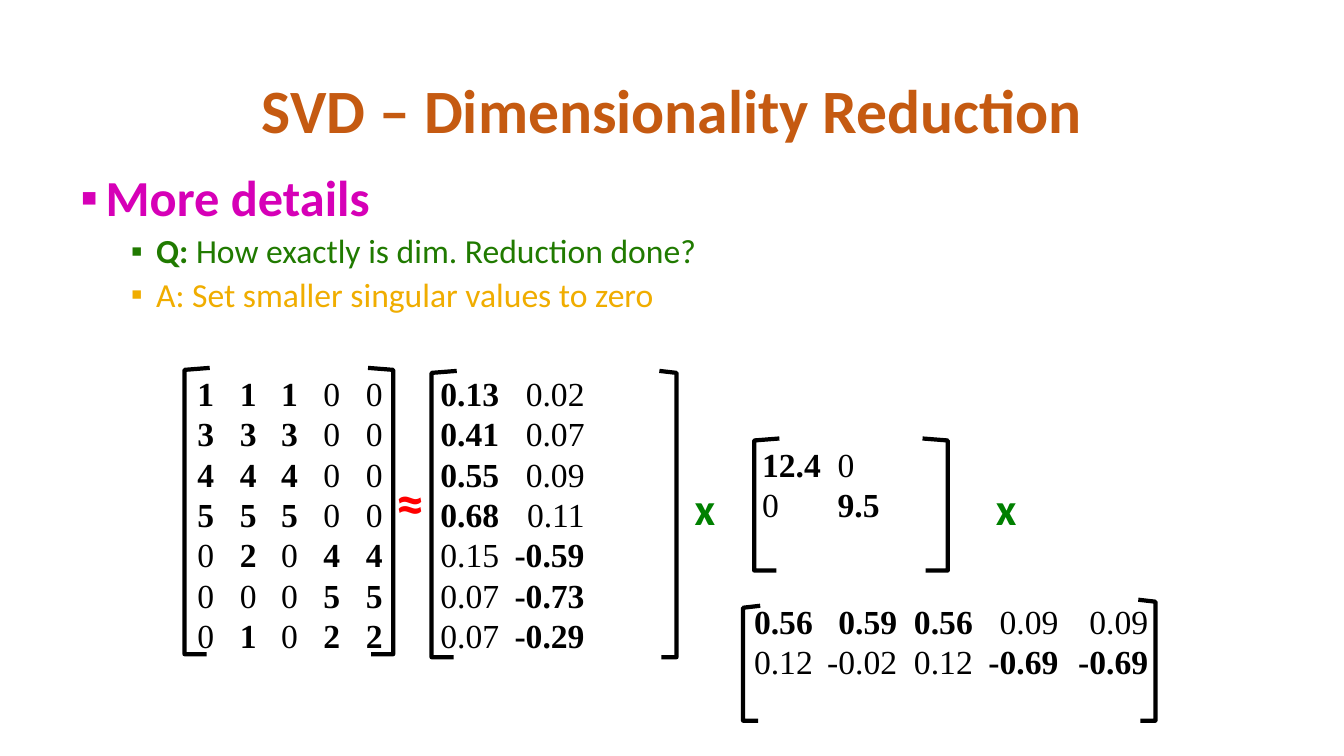
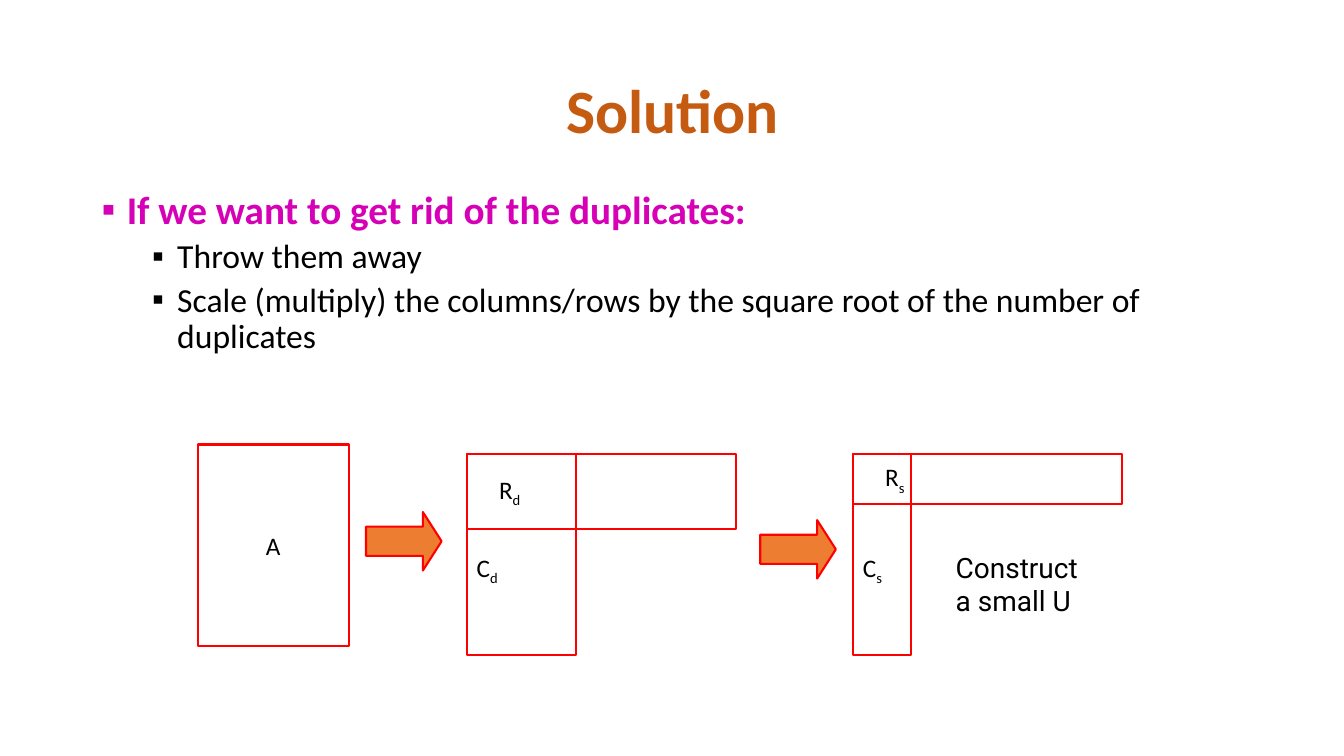
import lxml.etree
import pptx
import pptx.dml.color
import pptx.enum.shapes
import pptx.enum.text
import pptx.oxml.ns
import pptx.util

PX = 9144
COLORS = {
    "title": "C55A11",
    "heading": "D600B7",
    "question": "207A00",
    "answer": "F0AD00",
    "ink": "000000",
    "paper": "FFFFFF",
    "outline": "FF0000",
    "times": "008000",
    "arrow": "ED7D31",
}
SHAPES = pptx.enum.shapes.MSO_SHAPE
ALIGN = pptx.enum.text.PP_ALIGN
ANCHOR = pptx.enum.text.MSO_ANCHOR
SERIF = "Times New Roman"
TITLE = {"size": 44, "bold": True, "color": "title"}
DETAIL = {"size": 24}
NUMBER = {"size": 24, "name": SERIF}
LABEL = {"size": 18}
LEVELS = ({"indent": 25, "before": 10}, {"indent": 75, "before": 5})


def emu(*lengths):
    return [length * PX for length in lengths]


def rgb(key):
    return pptx.dml.color.RGBColor.from_string(COLORS[key])


def apply(target, values):
    for attribute, value in values.items():
        setattr(target, attribute, value)


def add_run(paragraph, text, style):
    run = paragraph.add_run()
    run.text = text
    values = {"name": "Calibri", "bold": False, "color": "ink", **style}
    run.font.color.rgb = rgb(values.pop("color"))
    values["size"] = pptx.util.Pt(values["size"])
    apply(run.font, values)
    return run


def next_paragraph(frame, index):
    return frame.add_paragraph() if index else frame.paragraphs[0]


def add_frame(slide, box, **values):
    frame = slide.shapes.add_textbox(*emu(*box)).text_frame
    apply(frame, {"word_wrap": True, **values})
    return frame


def add_text(slide, box, text, style, align=ALIGN.LEFT, **values):
    paragraph = add_frame(slide, box, **values).paragraphs[0]
    apply(paragraph, {"alignment": align})
    add_run(paragraph, text, style)
    return paragraph


def add_child(parent, tag, **attributes):
    child = lxml.etree.SubElement(parent, pptx.oxml.ns.qn(tag))
    for key, value in attributes.items():
        child.set(key, str(value))
    return child


def outline(shape, line, width, fill=None):
    shape.shadow.inherit = False
    shape.line.color.rgb = rgb(line)
    shape.line.width = pptx.util.Pt(width)
    if fill:
        shape.fill.solid()
        shape.fill.fore_color.rgb = rgb(fill)
    else:
        shape.fill.background()


def titled_slide(deck, title):
    slide = deck.slides.add_slide(deck.slide_layouts[6])
    heading = add_text(slide, (92, 40, 1150, 145), title, TITLE, ALIGN.CENTER,
                       vertical_anchor=ANCHOR.MIDDLE)
    heading.line_spacing = 0.9
    return slide


def bullet_list(slide, box, items):
    frame = add_frame(slide, box)
    for index, (level, runs) in enumerate(items):
        paragraph = next_paragraph(frame, index)
        apply(paragraph, {
            "level": level,
            "line_spacing": 0.9,
            "space_before": pptx.util.Pt(LEVELS[level]["before"]),
        })
        properties = paragraph._p.get_or_add_pPr()
        properties.set("marL", str(LEVELS[level]["indent"] * PX))
        properties.set("indent", str(-25 * PX))
        add_child(properties, "a:buFont", typeface=SERIF)
        add_child(properties, "a:buChar", char="▪")
        for text, style in runs:
            add_run(paragraph, text, style)


def bracket(slide, spine, top, bottom, arm):
    foot = round(arm * 7 / 8)
    builder = slide.shapes.build_freeform(spine + arm, top, scale=PX)
    builder.add_line_segments(
        [(spine, top + 2), (spine, bottom), (spine + foot, bottom)], close=False)
    outline(builder.convert_to_shape(), "ink", 3)


def matrix(slide, box, rows, stops, offset, arms=(25, 25), left_drop=0, align="r"):
    left, top, width, height = box
    bracket(slide, left, top + left_drop, top + height, arms[0])
    bracket(slide, left + width, top, top + height, -arms[1])
    frame = add_frame(
        slide, (left + offset[0], top + offset[1], width + 30, height))
    for index, row in enumerate(rows):
        paragraph = next_paragraph(frame, index)
        tabs = add_child(paragraph._p.get_or_add_pPr(), "a:tabLst")
        for stop in stops:
            add_child(tabs, "a:tab", pos=stop * PX, algn=align)
        for column, value in enumerate(row.split()):
            text = value.lstrip("*")
            add_run(paragraph, "\t" + text if column else text,
                    {**NUMBER, "bold": text != value})


def operator(slide, box, sign, size, color):
    add_text(slide, box, sign, {"size": size, "bold": True, "color": color},
             vertical_anchor=ANCHOR.MIDDLE)


def block(slide, box, letter, subscript="", fill=None, align=ALIGN.LEFT,
          inset_left=10, inset_top=5):
    shape = slide.shapes.add_shape(SHAPES.RECTANGLE, *emu(*box))
    outline(shape, "outline", 1.5, fill)
    apply(shape.text_frame, {
        "word_wrap": True,
        "vertical_anchor": ANCHOR.MIDDLE,
        "margin_left": inset_left * PX,
        "margin_right": 0 if subscript else 10 * PX,
        "margin_top": inset_top * PX,
    })
    paragraph = shape.text_frame.paragraphs[0]
    paragraph.alignment = align
    add_run(paragraph, letter, LABEL)
    if subscript:
        index = add_run(paragraph, subscript, LABEL)
        index._r.get_or_add_rPr().set("baseline", "-25000")


def column_row_pair(slide, box, column_width, row_height, subscript):
    left, top, width, height = box
    block(slide, (left, top, column_width, height), "C", subscript, "paper",
          inset_top=35)
    block(slide, (left, top, width, row_height), "R", subscript, inset_left=32)


def step_arrow(slide, left, top):
    arrow = slide.shapes.add_shape(SHAPES.RIGHT_ARROW, *emu(left, top, 75, 58))
    arrow.adjustments[1] = 0.32
    outline(arrow, "outline", 1.5, "arrow")


def reduction_slide(deck):
    slide = titled_slide(deck, "SVD – Dimensionality Reduction")
    question = {**DETAIL, "color": "question"}
    bullet_list(slide, (70, 167, 900, 183), [
        (0, [("More details", {"size": 36, "bold": True, "color": "heading"})]),
        (1, [("Q: ", {**question, "bold": True}),
             ("How exactly is dim. Reduction done?", question)]),
        (1, [("A: Set smaller singular values to zero",
              {**DETAIL, "color": "answer"})]),
    ])
    matrix(slide, (183, 365, 207, 284), [
        "*1 *1 *1 0 0",
        "*3 *3 *3 0 0",
        "*4 *4 *4 0 0",
        "*5 *5 *5 0 0",
        "0 *2 0 *4 *4",
        "0 0 0 *5 *5",
        "0 *1 0 *2 *2",
    ], [42, 83, 125, 167], (3, 0), align="l")
    matrix(slide, (428, 368, 243, 284), [
        "*0.13 0.02",
        "*0.41 0.07",
        "*0.55 0.09",
        "*0.68 0.11",
        "0.15 *-0.59",
        "0.07 *-0.73",
        "0.07 *-0.29",
    ], [143], (-1, -3), arms=(25, 17))
    matrix(slide, (748, 435, 192, 131), ["*12.4 0", "0 *9.5"],
           [75], (-2, 0), align="l")
    matrix(slide, (737, 595, 409, 120), [
        "*0.56 *0.59 *0.56 0.09 0.09",
        "0.12 -0.02 0.12 *-0.69 *-0.69",
    ], [142, 217, 302, 391], (1, -4), arms=(17, 17), left_drop=6)
    operator(slide, (383, 459, 51, 77), "≈", 40, "outline")
    for left in (679, 978):
        operator(slide, (left, 472, 44, 64), "x", 32, "times")


def solution_slide(deck):
    slide = titled_slide(deck, "Solution")
    bullet_list(slide, (91, 184, 1150, 421), [
        (0, [("If we want to get rid of the duplicates:",
              {"size": 28, "bold": True, "color": "heading"})]),
        (1, [("Throw them away", DETAIL)]),
        (1, [("Scale (multiply) the columns/rows by the square root of the "
              "number of duplicates", DETAIL)]),
    ])
    block(slide, (196, 441, 150, 200), "A", fill="paper", align=ALIGN.CENTER)
    step_arrow(slide, 363, 508)
    column_row_pair(slide, (463, 450, 267, 200), 108, 75, "d")
    step_arrow(slide, 754, 516)
    column_row_pair(slide, (846, 450, 267, 200), 58, 50, "s")
    add_text(slide, (938, 541, 158, 77), "Construct a small U",
             {"size": 20, "name": "Roboto"})


def main():
    deck = pptx.Presentation()
    apply(deck, {"slide_width": 1333 * PX, "slide_height": 750 * PX})
    reduction_slide(deck)
    solution_slide(deck)
    deck.save("out.pptx")


if __name__ == "__main__":
    main()
